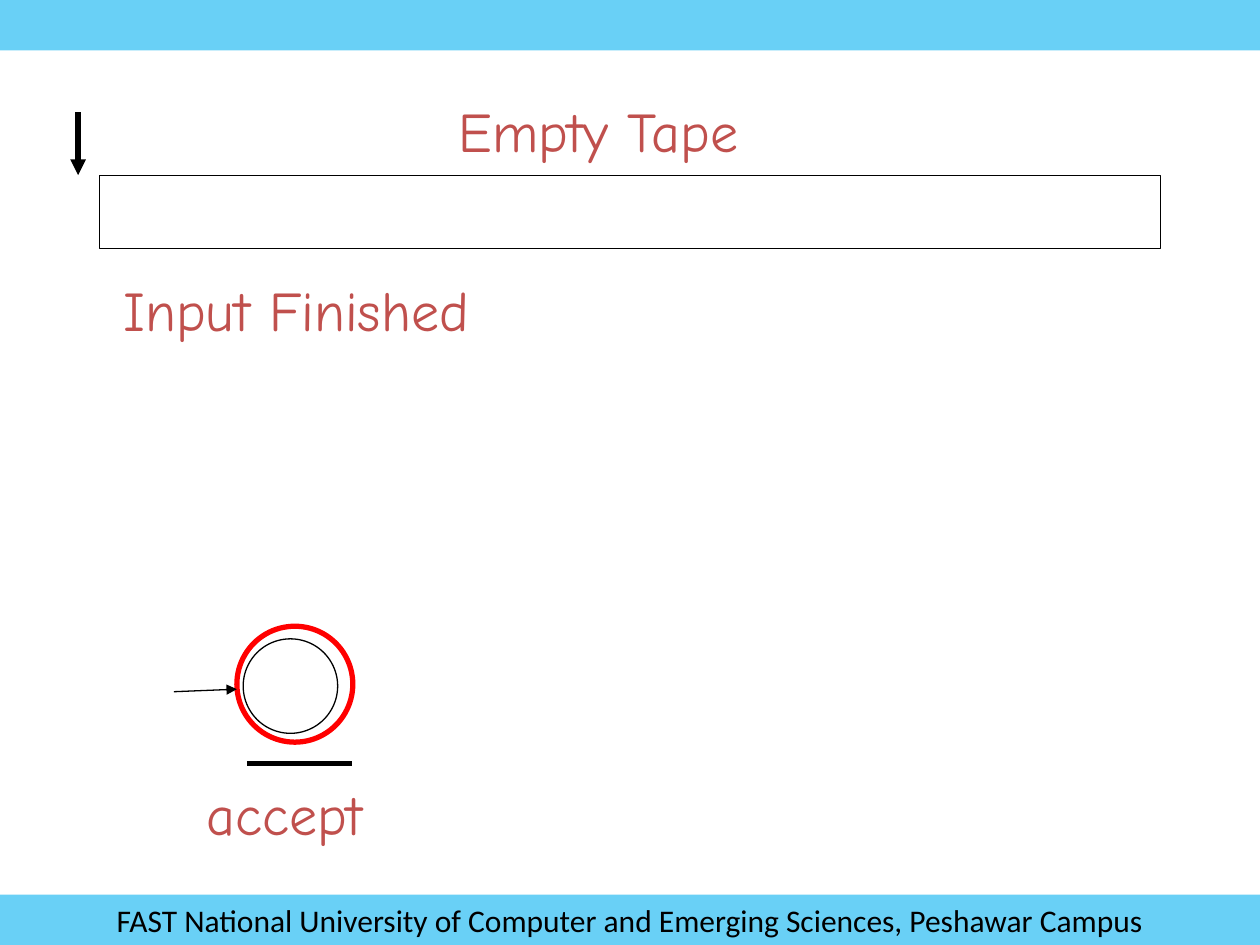
from dataclasses import dataclass
from typing import Optional

import pptx
import pptx.dml.color
import pptx.enum.shapes
import pptx.enum.text
import pptx.oxml
import pptx.oxml.ns
import pptx.util
from pptx.util import Inches

RGBColor = pptx.dml.color.RGBColor
ShapeType = pptx.enum.shapes.MSO_SHAPE

BLACK = RGBColor(0x00, 0x00, 0x00)
RED = RGBColor(0xFF, 0x00, 0x00)
BRICK = RGBColor(0xC0, 0x50, 0x4D)
SKY = RGBColor(0x00, 0xB0, 0xF0)

SLIDE_WIDTH, SLIDE_HEIGHT = 10, 7.5
BAND_HEIGHT = 0.4
BAND_OPACITY = 59
THIN, THICK = 0.75, 3


@dataclass
class Outline:
    kind: ShapeType
    left: float
    top: float
    width: float
    height: float
    color: RGBColor = BLACK
    weight: float = THIN


@dataclass
class Line:
    start: tuple[float, float]
    end: tuple[float, float]
    weight: float
    arrow: bool = False


@dataclass
class Label:
    text: str
    left: float
    top: float
    width: float
    height: float = 0.63


OUTLINES = [
    Outline(ShapeType.RECTANGLE, 0.79, 1.39, 8.42, 0.58),  # tape
    Outline(ShapeType.OVAL, 1.88, 4.97, 0.92, 0.92, RED, THICK),  # current state
    Outline(ShapeType.OVAL, 1.93, 5.07, 0.75, 0.75),  # accepting ring
]
LINES = [
    Line((0.62, 0.89), (0.62, 1.39), THICK, arrow=True),  # tape head
    Line((1.38, 5.49), (1.88, 5.47), THIN, arrow=True),  # start arrow
    Line((1.96, 6.06), (2.79, 6.06), THICK),  # underline of the state
]
LABELS = [
    Label("Empty Tape", 3.54, 0.72, 2.65),
    Label("Input Finished", 0.88, 2.14, 3.22),
    Label("accept", 1.54, 6.14, 1.58),
]


def add_text(shape, text: str, size: float, font_name: str, color: RGBColor) -> None:
    run = shape.text_frame.paragraphs[0].add_run()
    run.text = text
    run.font.size = pptx.util.Pt(size)
    run.font.name = font_name
    run.font.color.rgb = color


def add_band(slide, top: float, text: Optional[str] = None) -> None:
    shape = slide.shapes.add_shape(
        ShapeType.RECTANGLE, 0, Inches(top), Inches(SLIDE_WIDTH), Inches(BAND_HEIGHT))
    shape.shadow.inherit = False
    shape.line.fill.background()
    shape.fill.solid()
    shape.fill.fore_color.rgb = SKY
    color = shape.fill._xPr.find(".//" + pptx.oxml.ns.qn("a:srgbClr"))
    alpha = pptx.oxml.parse_xml(
        f'<a:alpha {pptx.oxml.ns.nsdecls("a")} val="{BAND_OPACITY * 1000}"/>')
    color.append(alpha)
    if text:
        shape.text_frame.vertical_anchor = pptx.enum.text.MSO_ANCHOR.MIDDLE
        shape.text_frame.paragraphs[0].alignment = pptx.enum.text.PP_ALIGN.CENTER
        add_text(shape, text, 18, "Calibri", BLACK)


def add_outline(slide, outline: Outline) -> None:
    shape = slide.shapes.add_shape(
        outline.kind, Inches(outline.left), Inches(outline.top),
        Inches(outline.width), Inches(outline.height))
    shape.shadow.inherit = False
    shape.fill.background()
    shape.line.color.rgb = outline.color
    shape.line.width = pptx.util.Pt(outline.weight)


def add_line(slide, line: Line) -> None:
    connector = slide.shapes.add_connector(
        pptx.enum.shapes.MSO_CONNECTOR.STRAIGHT,
        *(Inches(value) for value in line.start + line.end))
    connector.line.color.rgb = BLACK
    connector.line.width = pptx.util.Pt(line.weight)
    namespace = pptx.oxml.ns.nsdecls("a")
    if line.arrow:
        connector.line._get_or_add_ln().append(
            pptx.oxml.parse_xml(f'<a:tailEnd {namespace} type="triangle"/>'))
    connector._element.spPr.append(pptx.oxml.parse_xml(f"<a:effectLst {namespace}/>"))


def add_label(slide, label: Label) -> None:
    box = slide.shapes.add_textbox(
        Inches(label.left), Inches(label.top), Inches(label.width), Inches(label.height))
    box.text_frame.word_wrap = False
    box.text_frame.auto_size = pptx.enum.text.MSO_AUTO_SIZE.SHAPE_TO_FIT_TEXT
    add_text(box, label.text, 32, "Comic Neue", BRICK)


def main() -> None:
    presentation = pptx.Presentation()
    presentation.slide_width = Inches(SLIDE_WIDTH)
    presentation.slide_height = Inches(SLIDE_HEIGHT)
    slide = presentation.slides.add_slide(presentation.slide_layouts[6])

    # Header and footer bands
    add_band(slide, 0)
    add_band(slide, SLIDE_HEIGHT - BAND_HEIGHT,
             "FAST National University of Computer and Emerging Sciences, Peshawar Campus")

    # Tape and automaton
    for outline in OUTLINES:
        add_outline(slide, outline)
    for line in LINES:
        add_line(slide, line)

    # Captions
    for label in LABELS:
        add_label(slide, label)

    presentation.save("out.pptx")


if __name__ == "__main__":
    main()
